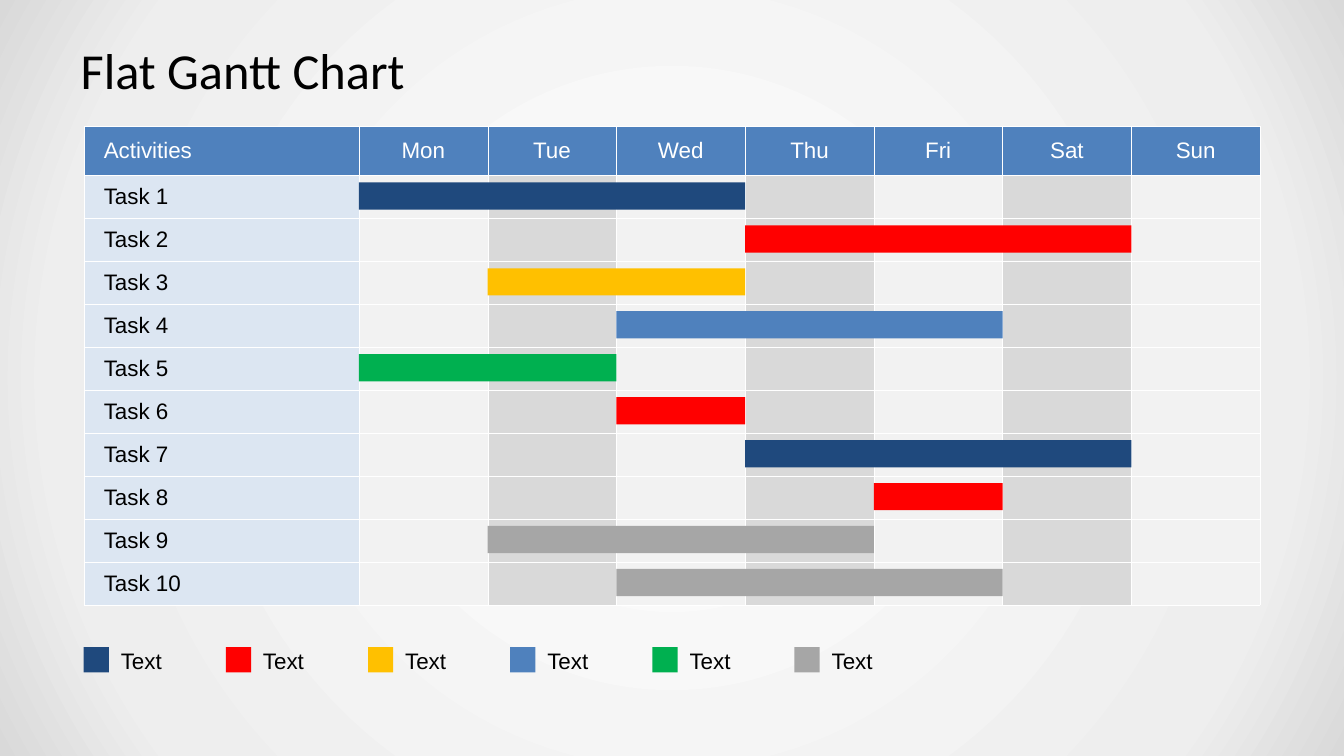
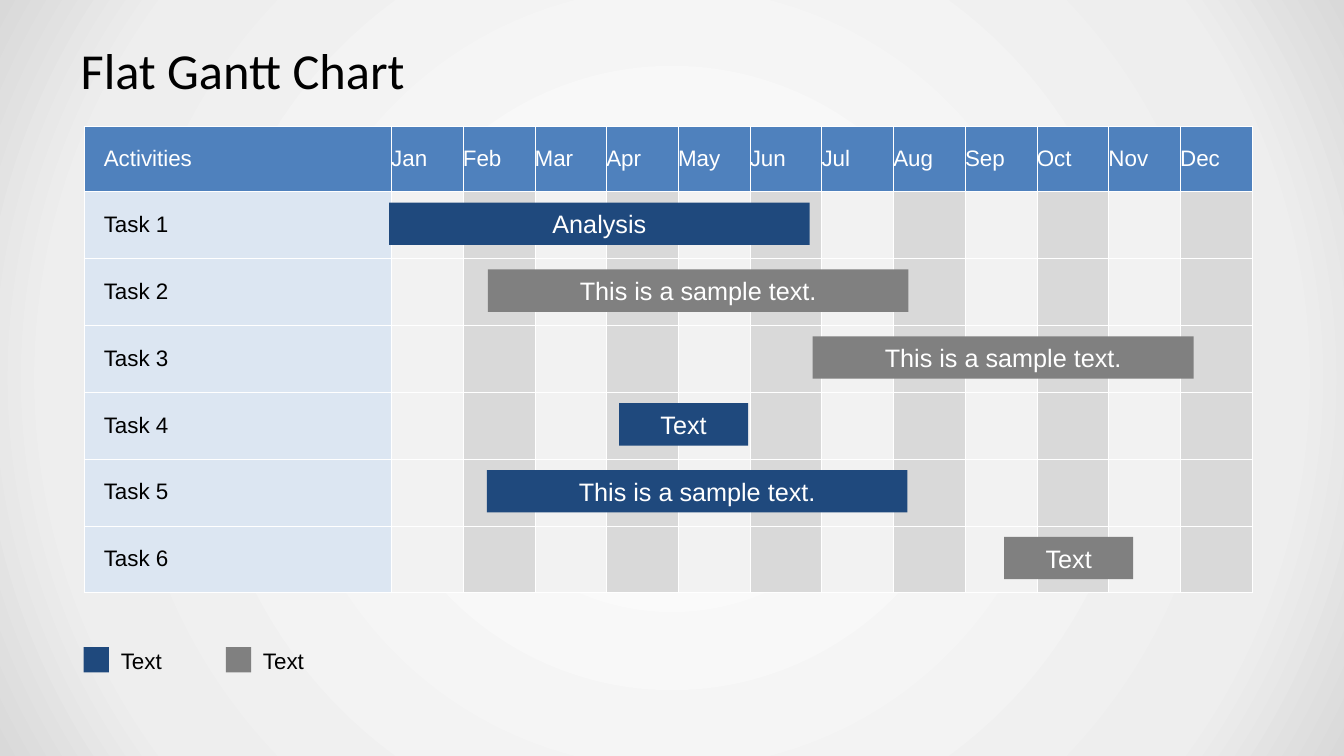
"""Build two flat Gantt chart slides: a week plan and a year plan."""
from pptx import Presentation
from pptx.dml.color import RGBColor
from pptx.enum.shapes import MSO_SHAPE
from pptx.enum.text import MSO_ANCHOR, MSO_AUTO_SIZE, PP_ALIGN
from pptx.oxml import parse_xml
from pptx.oxml.ns import nsdecls
from pptx.util import Inches, Pt

RECT = MSO_SHAPE.RECTANGLE
MIDDLE = MSO_ANCHOR.MIDDLE
GROW = MSO_AUTO_SIZE.SHAPE_TO_FIT_TEXT
LEFT, CENTER = PP_ALIGN.LEFT, PP_ALIGN.CENTER

BLACK = RGBColor(0x00, 0x00, 0x00)
WHITE = RGBColor(0xFF, 0xFF, 0xFF)
NAVY = RGBColor(0x1F, 0x49, 0x7D)
BLUE = RGBColor(0x4F, 0x81, 0xBD)
PALE_BLUE = RGBColor(0xDC, 0xE6, 0xF2)
RED = RGBColor(0xFF, 0x00, 0x00)
AMBER = RGBColor(0xFF, 0xC0, 0x00)
GREEN = RGBColor(0x00, 0xB0, 0x50)
SILVER = RGBColor(0xA6, 0xA6, 0xA6)
GRAY = RGBColor(0x80, 0x80, 0x80)
STRIPES = [RGBColor(0xF2, 0xF2, 0xF2), RGBColor(0xD9, 0xD9, 0xD9)]

TABLE_X, TABLE_Y = 0.83, 1.25
LEGEND_Y, LEGEND_STEP = 6.42, 1.41
SAMPLE = "This is a sample text."


def write(p, text, size, color, font="Arial"):
    r = p.add_run()
    r.text = text
    r.font.name = font
    r.font.size = Pt(size)
    r.font.bold = False
    r.font.color.rgb = color


def add_rect(shapes, x, y, w, h, color):
    sp = shapes.add_shape(RECT, Inches(x), Inches(y), Inches(w), Inches(h))
    sp.shadow.inherit = False
    sp.fill.solid()
    sp.fill.fore_color.rgb = color
    sp.line.fill.background()
    return sp


week = {
    "columns": ["Mon", "Tue", "Wed", "Thu", "Fri", "Sat", "Sun"],
    "align": CENTER, "margins": (0.1, 0.05),
    "width": 11.67, "height": 4.75, "label_w": 2.73, "header_h": 0.49,
    "bar_dy": 0.07, "bar_h": 0.27,
    "legend": [NAVY, RED, AMBER, BLUE, GREEN, SILVER],
}
day_w = (week["width"] - week["label_w"]) / len(week["columns"])
day_spans = [(0, 3, NAVY), (3, 3, RED), (1, 2, AMBER), (2, 3, BLUE), (0, 2, GREEN),
             (2, 1, RED), (3, 3, NAVY), (4, 1, RED), (1, 3, SILVER), (2, 3, SILVER)]
week["bars"] = [(TABLE_X + week["label_w"] + start * day_w, days * day_w, color, "")
                for start, days, color in day_spans]

year = {
    "columns": ["Jan", "Feb", "Mar", "Apr", "May", "Jun",
                "Jul", "Aug", "Sep", "Oct", "Nov", "Dec"],
    "align": LEFT, "margins": (0, 0),
    "width": 11.59, "height": 4.63, "label_w": 3.05, "header_h": 0.65,
    "bar_dy": 0.11, "bar_h": 0.42,
    "legend": [NAVY, GRAY],
    "bars": [(3.86, 4.17, NAVY, "Analysis"), (4.84, 4.17, GRAY, SAMPLE),
             (8.06, 3.78, GRAY, SAMPLE), (6.14, 1.28, NAVY, "Text"),
             (4.83, 4.17, NAVY, SAMPLE), (9.96, 1.28, GRAY, "Text")],
}

prs = Presentation()
prs.slide_width, prs.slide_height = Inches(13.33), Inches(7.5)

prs.slide_master.background.fill.gradient()
grad = prs.slide_master.element.xpath("p:cSld/p:bg/p:bgPr/a:gradFill")[0]
stops = "".join(f'<a:gs pos="{pos}000"><a:srgbClr val="{color}"/></a:gs>'
                for pos, color in [(0, "FFFFFF"), (81, "EEEEEE"), (100, "D9D9D9")])
grad.getparent().replace(grad, parse_xml(
    f'<a:gradFill {nsdecls("a")} rotWithShape="1"><a:gsLst>{stops}</a:gsLst>'
    '<a:path path="circle"><a:fillToRect l="50000" t="50000" r="50000" b="50000"/>'
    '</a:path></a:gradFill>'))

for plan in (week, year):
    s = prs.slides.add_slide(prs.slide_layouts[6])

    title = s.shapes.add_textbox(Inches(0.67), Inches(0.3), Inches(12), Inches(0.78))
    tf = title.text_frame
    tf.word_wrap = True
    tf.vertical_anchor = MIDDLE
    tf.margin_left = tf.margin_right = Inches(0.13)
    tf.margin_top = tf.margin_bottom = Inches(0.07)
    write(tf.paragraphs[0], "Flat Gantt Chart", 36, BLACK, "Calibri")

    columns, bars = plan["columns"], plan["bars"]
    row_h = (plan["height"] - plan["header_h"]) / len(bars)
    col_w = (plan["width"] - plan["label_w"]) / len(columns)
    table = s.shapes.add_table(
        len(bars) + 1, len(columns) + 1, Inches(TABLE_X), Inches(TABLE_Y),
        Inches(plan["width"]), Inches(plan["height"])).table
    table.horz_banding = False
    for i, col in enumerate(table.columns):
        col.width = Inches(col_w if i else plan["label_w"])
    for j, row in enumerate(table.rows):
        row.height = Inches(row_h if j else plan["header_h"])
        for i, cell in enumerate(row.cells):
            tcPr = cell._tc.get_or_add_tcPr()
            for side in "LRTB":
                tcPr.append(parse_xml(
                    f'<a:ln{side} {nsdecls("a")} w="{Pt(0.25)}"><a:solidFill>'
                    f'<a:srgbClr val="{WHITE}"/></a:solidFill></a:ln{side}>'))
            cell.fill.solid()
            cell.vertical_anchor = MIDDLE
            p = cell.text_frame.paragraphs[0]
            if j == 0:
                cell.fill.fore_color.rgb = BLUE
                write(p, columns[i - 1] if i else "Activities", 16, WHITE)
            elif i == 0:
                cell.fill.fore_color.rgb = PALE_BLUE
                write(p, f"Task {j}", 16, BLACK)
            else:
                cell.fill.fore_color.rgb = STRIPES[(i - 1) % 2]
            if i == 0:
                cell.margin_left = Inches(0.2)
            elif j == 0:
                p.alignment = plan["align"]
                side_margin, end_margin = plan["margins"]
                cell.margin_left = cell.margin_right = Inches(side_margin)
                cell.margin_top = cell.margin_bottom = Inches(end_margin)

    first_bar_y = TABLE_Y + plan["header_h"] + plan["bar_dy"]
    for j, (x, w, color, label) in enumerate(bars):
        bar = add_rect(s.shapes, x, first_bar_y + j * row_h, w, plan["bar_h"], color)
        if label:
            tf = bar.text_frame
            tf.vertical_anchor = MIDDLE
            tf.paragraphs[0].alignment = CENTER
            write(tf.paragraphs[0], label, 18, WHITE)

    for i, color in enumerate(plan["legend"]):
        x = TABLE_X + i * LEGEND_STEP
        entry = s.shapes.add_group_shape()
        add_rect(entry.shapes, x, LEGEND_Y, 0.25, 0.25, color)
        key = entry.shapes.add_textbox(
            Inches(x + 0.27), Inches(LEGEND_Y - 0.05), Inches(0.61), Inches(0.37))
        tf = key.text_frame
        tf.word_wrap = False
        tf.auto_size = GROW
        write(tf.paragraphs[0], "Text", 16, BLACK)

prs.save("out.pptx")
